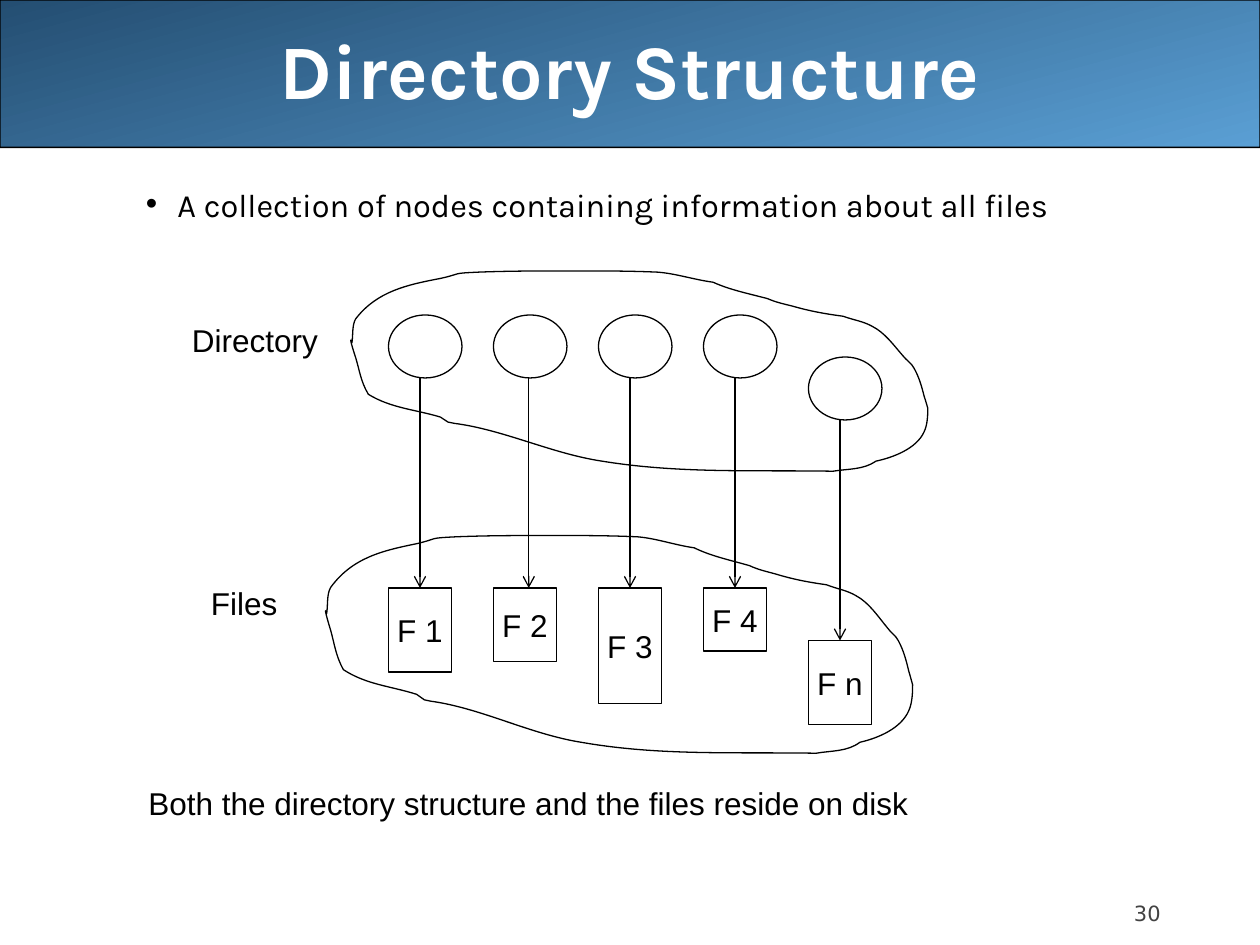
from itertools import chain
from lxml.etree import SubElement
from pptx import Presentation
from pptx.dml.color import RGBColor
from pptx.enum.shapes import MSO_CONNECTOR, MSO_SHAPE
from pptx.enum.text import MSO_ANCHOR as ANCHOR, MSO_AUTO_SIZE, PP_ALIGN as ALIGN
from pptx.oxml.ns import qn
from pptx.util import Inches, Pt

BLACK = RGBColor(0x00, 0x00, 0x00)
WHITE = RGBColor(0xFF, 0xFF, 0xFF)
GREY = RGBColor(0x42, 0x42, 0x42)
NAVY = RGBColor(0x24, 0x4E, 0x72)
SKY = RGBColor(0x5A, 0x9F, 0xD4)

CLOUD_SIZE = (457, 161)
CLOUD_START = (1, 57)
CLOUD_CURVES = [
    ((2, 50), (1, 43), (4, 38)), ((21, 16), (45, 11), (71, 6)),
    ((89, 2), (79, 2), (101, 1)), ((126, 0), (151, 0), (177, 0)),
    ((199, 0), (221, 0), (243, 1)), ((257, 2), (272, 7), (287, 9)),
    ((300, 15), (315, 18), (330, 22)), ((337, 25), (342, 26), (350, 28)),
    ((364, 32), (375, 34), (390, 36)), ((398, 39), (406, 40), (413, 44)),
    ((423, 49), (430, 59), (437, 67)), ((440, 71), (444, 73), (446, 77)),
    ((450, 84), (452, 91), (454, 99)), ((455, 102), (457, 109), (457, 109)),
    ((457, 113), (457, 122), (454, 128)), ((448, 141), (430, 148), (416, 151)),
    ((406, 158), (394, 157), (382, 159)), ((318, 158), (260, 161), (199, 151)),
    ((159, 145), (121, 126), (82, 121)), ((80, 121), (79, 120), (77, 120)),
    ((75, 119), (73, 117), (71, 116)), ((51, 110), (32, 109), (14, 98)),
    ((8, 88), (7, 79), (4, 69)), ((4, 69), (0, 57), (0, 55)),
    ((0, 54), (1, 56), (1, 57)),
]

UNIT = 1 / 12
PITCH = 10 * UNIT
NODE_WIDTH, NODE_HEIGHT = 7 * UNIT, 6 * UNIT
FILE_WIDTH = 6 * UNIT
FILES = [
    ("F 1", 0, 26, 8),
    ("F 2", 0, 26, 7),
    ("F 3", 0, 26, 11),
    ("F 4", 0, 26, 6),
    ("F n", 4, 31, 8),
]
ARROW_SHIFTS = (0.25, 0.28, 0.25, 0.25, 0.25)


def add_run(p, text, size, font="Arial", color=BLACK, bold=False):
    r = p.add_run()
    r.text = text
    r.font.size = Pt(size)
    r.font.name = font
    r.font.color.rgb = color
    r.font.bold = bold


def add_text(s, box, text, size, font="Arial", color=BLACK,
             anchor=ANCHOR.TOP):
    sp = s.shapes.add_textbox(*map(Inches, box))
    tf = sp.text_frame
    tf.word_wrap = True
    tf.vertical_anchor = anchor
    add_run(tf.paragraphs[0], text, size, font, color)
    return tf


def center_unwrapped(tf):
    tf.word_wrap = False
    tf.vertical_anchor = ANCHOR.MIDDLE
    tf.paragraphs[0].alignment = ALIGN.CENTER


def outline(sp):
    sp.shadow.inherit = False
    sp.line.color.rgb = BLACK
    sp.line.width = Pt(0.75)


def add_outlined(s, kind, box):
    sp = s.shapes.add_shape(kind, *map(Inches, box))
    outline(sp)
    sp.fill.solid()
    sp.fill.fore_color.rgb = WHITE
    return sp


def add_arrow(s, x, top, bottom):
    line = s.shapes.add_connector(
        MSO_CONNECTOR.STRAIGHT, *map(Inches, (x, top, x, bottom)))
    line.line.color.rgb = BLACK
    line.line.width = Pt(0.75)
    SubElement(line.line._get_or_add_ln(), qn("a:tailEnd"), type="arrow")
    SubElement(line._element.spPr, qn("a:effectLst"))


def add_cloud(s, box):
    left, top, width, height = box

    def place(point):
        return (Inches(left + width * point[0] / CLOUD_SIZE[0]),
                Inches(top + height * point[1] / CLOUD_SIZE[1]))

    builder = s.shapes.build_freeform(*place(CLOUD_START))
    builder.add_line_segments(
        [place(pt) for pt in chain.from_iterable(CLOUD_CURVES)], close=True)
    sp = builder.convert_to_shape()
    segments = list(sp._element.iter(qn("a:lnTo")))
    for curve, *others in zip(segments[::3], segments[1::3], segments[2::3]):
        curve.tag = qn("a:cubicBezTo")
        for segment in others:
            curve.append(segment[0])
            segment.getparent().remove(segment)
    outline(sp)
    sp.fill.background()


def add_header(s, box, text):
    band = add_outlined(s, MSO_SHAPE.ROUNDED_RECTANGLE, box)
    band.adjustments[0] = 0.001
    band.fill.gradient()
    band.fill.gradient_angle = 285
    for stop, color in zip(band.fill.gradient_stops, (NAVY, SKY)):
        stop.color.rgb = color
    left, top, width, _ = box
    title = s.shapes.title
    title.left, title.top = Inches(left + 0.5), Inches(top + 0.23)
    title.width, title.height = Inches(width - 1), Inches(0.63)
    band._element.addnext(title._element)
    tf = title.text_frame
    tf.vertical_anchor = ANCHOR.MIDDLE
    p = tf.paragraphs[0]
    p.alignment = ALIGN.CENTER
    add_run(p, text, 44, "Karla", WHITE, True)


def add_bullet(s, box, text):
    p = add_text(s, box, text, 18.6, "Karla").paragraphs[0]
    pPr = p._p.get_or_add_pPr()
    pPr.set("marL", str(Inches(0.25)))
    pPr.set("indent", str(Inches(-0.25)))
    SubElement(pPr, qn("a:buFont"), typeface="Arial")
    SubElement(pPr, qn("a:buChar"), char="•")
    p.line_spacing = 0.7


def add_diagram(s, box):
    left, top, _, _ = box
    columns = [(left + i * PITCH, top + node * UNIT, top + file * UNIT,
                height * UNIT, name)
               for i, (name, node, file, height) in enumerate(FILES)]
    for x, node_top, *_ in columns:
        add_outlined(s, MSO_SHAPE.OVAL, (x, node_top, NODE_WIDTH, NODE_HEIGHT))
    for x, _, file_top, height, name in columns:
        tf = add_outlined(s, MSO_SHAPE.RECTANGLE,
                          (x, file_top, FILE_WIDTH, height)).text_frame
        center_unwrapped(tf)
        add_run(tf.paragraphs[0], name, 18)
    for (x, node_top, file_top, *_), shift in zip(columns, ARROW_SHIFTS):
        add_arrow(s, x + shift, node_top + NODE_HEIGHT, file_top)
    add_cloud(s, (left - 0.3, top - 0.35, 4.58, 1.61))
    add_cloud(s, (left - 0.5, top + 1.75, 4.66, 1.75))
    for text, label_box in (
            ("Directory", (left - 1.66, top, 1.2, 0.4)),
            ("Files", (left - 1.51, top + 25 * UNIT, 0.73, 0.4))):
        tf = add_text(s, label_box, text, 18)
        center_unwrapped(tf)
        tf.auto_size = MSO_AUTO_SIZE.SHAPE_TO_FIT_TEXT


def add_page_number(s, box, text):
    tf = add_text(s, box, text, 12, "DejaVu Sans", GREY, ANCHOR.BOTTOM)
    tf.margin_left = tf.margin_right = tf.margin_top = tf.margin_bottom = 0


def main():
    prs = Presentation()
    prs.slide_width, prs.slide_height = Inches(10), Inches(7.5)
    s = prs.slides.add_slide(prs.slide_layouts[5])
    add_page_number(s, (9, 6.95, 0.83, 0.4), "30")
    add_header(s, (0, 0, 10, 1.17), "Directory Structure")
    add_bullet(s, (1.06, 1.5, 8.06, 0.39),
               "A collection of nodes containing information about all files")
    add_diagram(s, (37 * UNIT, 2.5, 47 * UNIT, 39 * UNIT))
    add_text(s, (1.08, 6.17, 8.31, 0.42),
             "Both the directory structure and the files reside on disk", 18)
    prs.save("out.pptx")


if __name__ == "__main__":
    main()
